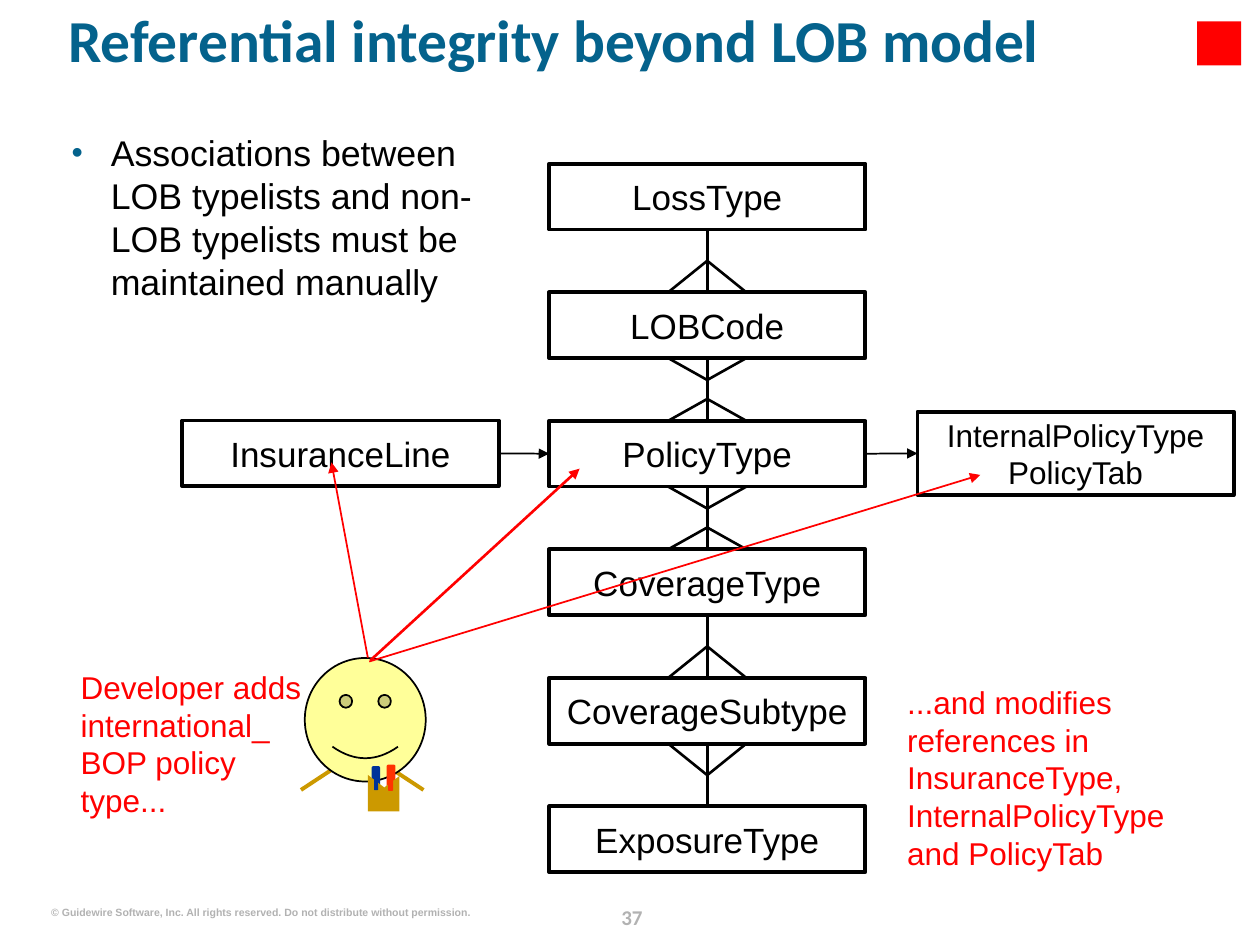
from collections import namedtuple
from dataclasses import dataclass

from lxml.etree import SubElement
from pptx import Presentation
from pptx.dml.color import RGBColor
from pptx.enum.shapes import MSO_CONNECTOR, MSO_SHAPE
from pptx.enum.text import MSO_ANCHOR, PP_ALIGN
from pptx.oxml.ns import qn
from pptx.util import Pt

Box = namedtuple("Box", "left top width height")


@dataclass(frozen=True)
class Theme:
    black: str = "000000"
    white: str = "FFFFFF"
    blue: str = "04628C"
    red: str = "FF0000"
    gray: str = "B2B2B2"
    skin: str = "FFFF99"
    tan: str = "CC9900"
    pen_red: str = "FF3300"
    pen_blue: str = "003399"
    body_font: str = "Arial"
    title_font: str = "Calibri"
    title: float = 34
    body: float = 20.4
    label: float = 20
    note: float = 18
    page: float = 12
    footer: float = 6


THEME = Theme()
TOP, LEFT, BOTTOM, RIGHT = range(4)
TYPELISTS = ["LossType", "LOBCode", "PolicyType", "CoverageType", "CoverageSubtype", "ExposureType"]
# For each link down the column: fork at its upper end, fork at its lower end
FORKS = [(False, True), (True, True), (True, True), (False, True), (True, False)]


def points(*values):
    return [Pt(value) for value in values]


def write(frame, text, size=THEME.note, color=THEME.black, font=THEME.body_font, bold=False,
          align=PP_ALIGN.LEFT, anchor=MSO_ANCHOR.TOP, wrap=True, spacing=None, bullet=None):
    frame.margin_left = frame.margin_top = frame.margin_right = frame.margin_bottom = 0
    frame.word_wrap = wrap
    frame.vertical_anchor = anchor
    paragraph = frame.paragraphs[0]
    paragraph.text = text
    paragraph.alignment = align
    if spacing:
        paragraph.line_spacing = spacing
    if bullet:
        add_bullet(paragraph, bullet)
    for run in paragraph.runs:
        run.font.size, run.font.name, run.font.bold = Pt(size), font, bold
        run.font.color.rgb = RGBColor.from_string(color)


def add_bullet(paragraph, color, indent=22.3):
    properties = paragraph._p.get_or_add_pPr()
    properties.set("marL", str(Pt(indent)))
    properties.set("indent", str(-Pt(indent)))
    SubElement(SubElement(properties, qn("a:buClr")), qn("a:srgbClr"), val=color)
    SubElement(properties, qn("a:buSzPct"), val="90000")
    SubElement(properties, qn("a:buFont"), typeface=THEME.body_font)
    SubElement(properties, qn("a:buChar"), char="•")


def add_text(slide, box, text, **style):
    write(slide.shapes.add_textbox(*points(*box)).text_frame, text, **style)


def paint(shape, fill, line_width=0):
    shape.shadow.inherit = False
    shape.fill.solid()
    shape.fill.fore_color.rgb = RGBColor.from_string(fill)
    if line_width:
        shape.line.color.rgb = RGBColor.from_string(THEME.black)
        shape.line.width = Pt(line_width)
    else:
        shape.line.fill.background()


def add_shape(slide, kind, box, fill, line_width=0):
    shape = slide.shapes.add_shape(kind, *points(*box))
    paint(shape, fill, line_width)
    return shape


def add_line(slide, start, end, color=THEME.black, width=1.5, arrow=False):
    line = slide.shapes.add_connector(MSO_CONNECTOR.STRAIGHT, *points(*start, *end))
    line.line.color.rgb = RGBColor.from_string(color)
    line.line.width = Pt(width)
    if arrow:
        SubElement(line.line._get_or_add_ln(), qn("a:tailEnd"), type="triangle")
    SubElement(line._element.spPr, qn("a:effectLst"))
    return line


def join(slide, first, first_side, second, second_side, **style):
    line = add_line(slide, (0, 0), (0, 0), **style)
    line.begin_connect(first, first_side)
    line.end_connect(second, second_side)


def add_typelist(slide, box, name, size=THEME.label):
    shape = add_shape(slide, MSO_SHAPE.RECTANGLE, box, THEME.white, 2.25)
    write(shape.text_frame, name, size=size, align=PP_ALIGN.CENTER, anchor=MSO_ANCHOR.MIDDLE)
    return shape


def add_fork(slide, center, edge, apex, half_width=22.3):
    """Draw the two prongs of a crow's foot from its apex to a box edge."""
    for side in (-1, 1):
        add_line(slide, (center, apex), (center + side * half_width, edge))


def add_typelist_column(slide, box, box_height):
    """Stack the typelists evenly in the box, link them and return their shapes."""
    pitch = (box.height - box_height) / (len(TYPELISTS) - 1)
    tops = [box.top + row * pitch for row in range(len(TYPELISTS))]
    shapes = [add_typelist(slide, Box(box.left, top, box.width, box_height), name)
              for top, name in zip(tops, TYPELISTS)]
    center = box.left + box.width / 2
    for row, (fork_above, fork_below) in enumerate(FORKS):
        join(slide, shapes[row], BOTTOM, shapes[row + 1], TOP)
        depth = 12.5 if fork_above and fork_below else 18
        upper, lower = tops[row] + box_height, tops[row + 1]
        if fork_above:
            add_fork(slide, center, upper, upper + depth)
        if fork_below:
            add_fork(slide, center, lower, lower - depth)
    return shapes


def add_developer(slide, box):
    """Draw a smiling developer with arms, a pocket and two pens."""
    def inside(x, y, width, height):
        return Box(box.left + x, box.top + y, width, height)

    def add_pen(x, y, width, height, color):
        add_shape(slide, MSO_SHAPE.ROUNDED_RECTANGLE, inside(x, y, width, height), color)

    middle = box.left + box.width / 2
    for side in (1, -1):
        add_line(slide, (middle + side * 11, box.top + 59.6),
                 (middle + side * box.width / 2, box.top + 75.4), color=THEME.tan, width=2.25)
    add_shape(slide, MSO_SHAPE.SMILEY_FACE, inside(2.2, 0, 69.1, 70.6), THEME.skin, 1)
    add_pen(49, 61, 5, 25.5, THEME.pen_red)
    add_pen(40.4, 61.8, 4.8, 18, THEME.pen_blue)
    pocket = [points(box.left + x, box.top + y) for x, y in
              [(38.2, 66.8), (38.2, 87.7), (56.2, 87.7), (56.2, 67.5), (47.6, 74)]]
    builder = slide.shapes.build_freeform(*pocket[0])
    builder.add_line_segments(pocket[1:], close=True)
    paint(builder.convert_to_shape(), THEME.tan)
    add_pen(41.8, 66.1, 2.3, 9.4, THEME.pen_blue)
    add_pen(49.8, 69.7, 2.9, 6.2, THEME.pen_red)


def add_footer(slide, box):
    add_text(slide, Box(box.left, box.top + 4.3, 240, 7.2),
             "© Guidewire Software, Inc. All rights reserved. Do not distribute without permission.",
             size=THEME.footer, color=THEME.gray, bold=True, align=PP_ALIGN.RIGHT, wrap=False)
    add_text(slide, Box(box.left + 311.8, box.top, 41, 18), "37", size=THEME.page, color=THEME.gray,
             font=THEME.title_font, bold=True, align=PP_ALIGN.CENTER, spacing=Pt(18))


def add_header(slide, box):
    add_text(slide, box, "Referential integrity beyond LOB model", size=THEME.title,
             color=THEME.blue, font=THEME.title_font, bold=True, spacing=0.8)
    add_shape(slide, MSO_SHAPE.RECTANGLE, Box(box.left + 645.1, box.top + 2.8, 25.2, 25.2), THEME.red)


def main():
    presentation = Presentation()
    presentation.slide_width, presentation.slide_height = points(720, 540)
    slide = presentation.slides.add_slide(presentation.slide_layouts[6])

    add_footer(slide, Box(28.8, 513.4, 353, 18))
    add_header(slide, Box(38.9, 9.4, 655.2, 58.3))
    add_text(slide, Box(41, 74.9, 260.6, 96.5),
             "Associations between LOB typelists and non-LOB typelists must be maintained manually",
             size=THEME.body, bullet=THEME.blue)

    column = add_typelist_column(slide, Box(313.8, 93.6, 180.7, 404.8), 37.6)
    policy_type = column[TYPELISTS.index("PolicyType")]
    insurance = add_typelist(slide, Box(104.2, 240.3, 180.7, 37.6), "InsuranceLine")
    internal = add_typelist(slide, Box(524.3, 235.3, 180.7, 47.6),
                            "InternalPolicyType\vPolicyTab", size=THEME.note)
    join(slide, insurance, RIGHT, policy_type, LEFT, width=1, arrow=True)
    join(slide, policy_type, RIGHT, internal, LEFT, width=1, arrow=True)

    add_developer(slide, Box(172, 376, 70, 88))
    add_text(slide, Box(46.1, 381.6, 128.9, 86.4),
             "Developer adds international_\vBOP policy type...", color=THEME.red)
    add_text(slide, Box(518.4, 390.2, 181.4, 108),
             "...and modifies references in InsuranceType, InternalPolicyType and PolicyTab",
             color=THEME.red)
    for start, target, width in [((211.7, 377.3), (331.2, 267.8), 1.5),
                                 ((211, 378), (560.2, 271.4), 1),
                                 ((210.2, 375.8), (189.4, 264.2), 1)]:
        add_line(slide, start, target, color=THEME.red, width=width, arrow=True)

    presentation.save("out.pptx")


if __name__ == "__main__":
    main()
